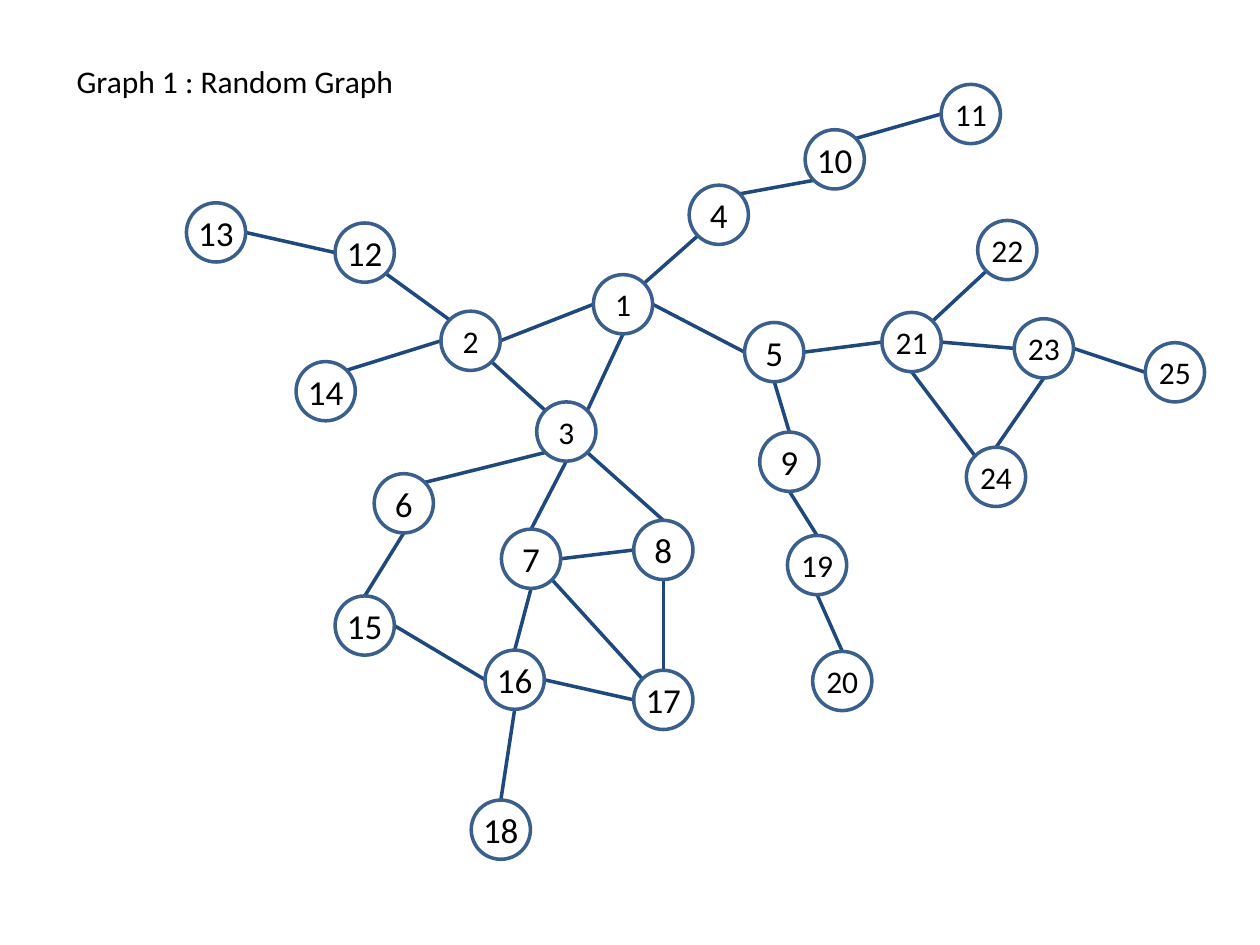
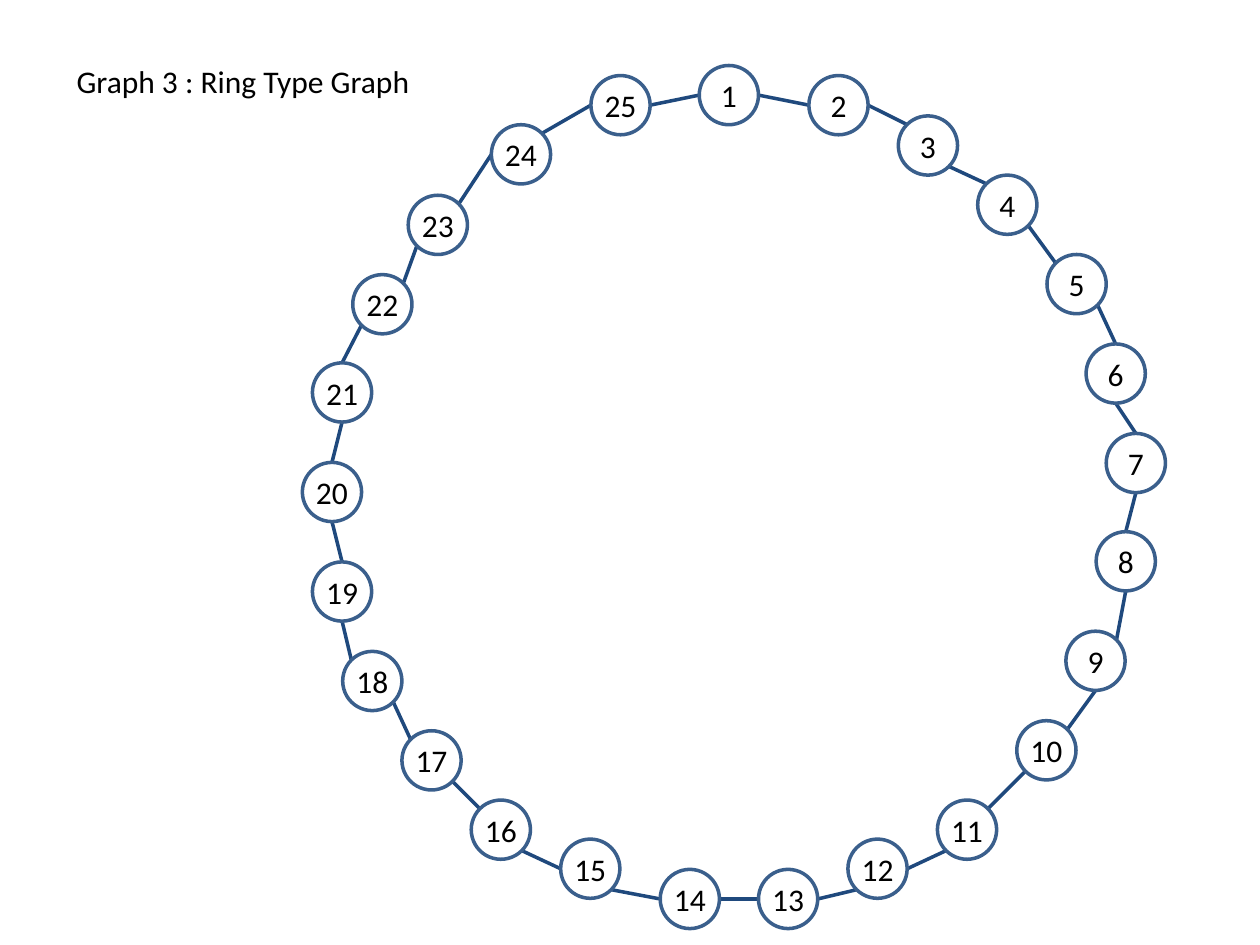
"""Build two slides of numbered node-and-edge graphs."""
import math

import lxml.etree
import pptx
import pptx.dml.color
import pptx.enum.shapes
import pptx.enum.text
import pptx.oxml.ns
import pptx.util

Inches, Pt = pptx.util.Inches, pptx.util.Pt
COLORS = {"text": "000000", "node": "3A5F8C", "edge": "1F497D"}
FONT = "Calibri"
NODE = 0.47
LINE_WIDTH = 2
DIRECTIONS = ("E", "SE", "S", "SW", "W", "NW", "N", "NE")

RANDOM_NODES = [
    (3.23, 1.51), (2.02, 1.8), (2.78, 2.52), (3.99, 0.8), (4.43, 1.89),
    (1.49, 3.09), (2.5, 3.53), (3.55, 3.46), (4.55, 2.76), (4.91, 0.36),
    (5.99, 0), (1.18, 1.1), (0, 0.94), (0.87, 2.2), (1.18, 4.06),
    (2.37, 4.49), (3.55, 4.65), (2.26, 5.68), (4.77, 3.58), (4.97, 4.5),
    (5.52, 1.81), (6.28, 1.08), (6.57, 1.86), (6.19, 2.88), (7.61, 2.05),
]
RANDOM_EDGES = [
    (2, "E", 1, "W"), (3, "NE", 1, "S"), (12, "SE", 2, "NW"),
    (12, "W", 13, "E"), (14, "NE", 2, "W"), (2, "SE", 3, "NW"),
    (6, "NE", 3, "SW"), (7, "N", 3, "S"), (8, "N", 3, "SE"),
    (15, "N", 6, "S"), (16, "N", 7, "S"), (17, "N", 8, "S"),
    (18, "N", 16, "S"), (8, "W", 7, "E"), (17, "W", 16, "E"),
    (17, "NW", 7, "SE"), (16, "W", 15, "E"), (9, "N", 5, "S"),
    (19, "N", 9, "S"), (20, "N", 19, "S"), (5, "W", 1, "E"),
    (10, "SW", 4, "NE"), (11, "W", 10, "NE"), (4, "SW", 1, "NE"),
    (21, "W", 5, "E"), (22, "SW", 21, "NE"), (24, "NW", 21, "S"),
    (23, "W", 21, "E"), (24, "N", 23, "S"), (23, "E", 25, "W"),
]
LARGE_LABELS = {*range(4, 11), *range(12, 19)}

RING_NODES = [
    (3.15, 0), (4.02, 0.08), (4.73, 0.4), (5.36, 0.87), (5.91, 1.5),
    (6.22, 2.21), (6.38, 2.92), (6.3, 3.7), (6.06, 4.49), (5.67, 5.2),
    (5.04, 5.83), (4.33, 6.14), (3.62, 6.38), (2.84, 6.38), (2.05, 6.14),
    (1.34, 5.83), (0.79, 5.28), (0.32, 4.65), (0.08, 3.94), (0, 3.15),
    (0.08, 2.36), (0.4, 1.66), (0.84, 1.03), (1.5, 0.47), (2.29, 0.08),
]
RING_SIDES = (
    "E-W E-NW SE-NW SE-NW SE-N S-N S-N S-NE S-NE SW-NE SW-E SW-E W-E "
    "W-SE W-SE NW-SE NW-SE NW-S N-S N-S N-SW NE-SW NE-W NE-W E-W"
).split()


def rgb(name):
    """Return a named colour of the palette."""
    return pptx.dml.color.RGBColor.from_string(COLORS[name])


def add_text(tf, text, size=18, align=None):
    """Write one formatted line into a text frame."""
    p = tf.paragraphs[0]
    p.alignment = align
    r = p.add_run()
    r.text = text
    r.font.name = FONT
    r.font.size = Pt(size)
    r.font.color.rgb = rgb("text")


def add_title(s, text, left, top, width, height):
    """Place the graph title in its box."""
    sp = s.shapes.add_textbox(Inches(left), Inches(top), Inches(width), Inches(height))
    sp.text_frame.word_wrap = True
    add_text(sp.text_frame, text)


def add_node(s, label, left, top, size):
    """Draw a numbered circle."""
    sp = s.shapes.add_shape(pptx.enum.shapes.MSO_SHAPE.OVAL, Inches(left),
                            Inches(top), Inches(NODE), Inches(NODE))
    sp.shadow.inherit = False
    sp.fill.background()
    sp.line.color.rgb = rgb("node")
    sp.line.width = Pt(LINE_WIDTH)
    tf = sp.text_frame
    tf.margin_left = tf.margin_right = tf.margin_top = tf.margin_bottom = 0
    tf.vertical_anchor = pptx.enum.text.MSO_ANCHOR.MIDDLE
    add_text(tf, str(label), size, pptx.enum.text.PP_ALIGN.CENTER)


def rim_point(node, side):
    """Return the point on a node's rim at a compass side."""
    angle = DIRECTIONS.index(side) * math.pi / 4
    radius = NODE / 2
    return (node[0] + radius * (1 + math.cos(angle)),
            node[1] + radius * (1 + math.sin(angle)))


def add_edge(s, start, end):
    """Draw a straight edge between two points."""
    line = s.shapes.add_connector(pptx.enum.shapes.MSO_CONNECTOR.STRAIGHT,
                                  *(Inches(v) for v in (*start, *end)))
    line.line.color.rgb = rgb("edge")
    line.line.width = Pt(LINE_WIDTH)
    sp_pr = line._element.find(pptx.oxml.ns.qn("p:spPr"))
    lxml.etree.SubElement(sp_pr, pptx.oxml.ns.qn("a:effectLst"))


def add_graph(s, left, top, nodes, edges, large=()):
    """Draw edges and numbered nodes from the box's top left corner."""
    places = [(left + x, top + y) for x, y in nodes]
    for a, side_a, b, side_b in edges:
        add_edge(s, rim_point(places[a - 1], side_a), rim_point(places[b - 1], side_b))
    for label, (x, y) in enumerate(places, 1):
        add_node(s, label, x, y, 20 if label in large else 18)


def ring_edges(sides):
    """Join each node to the next one, closing the ring."""
    edges = []
    for i, pair in enumerate(sides):
        leave, enter = pair.split("-")
        edges.append((i + 1, leave, (i + 1) % len(sides) + 1, enter))
    return edges


def add_graph_slide(prs, title, title_width, **graph):
    """Add a blank slide with a title and a graph."""
    s = prs.slides.add_slide(prs.slide_layouts[6])
    add_graph(s, **graph)
    add_title(s, title, 0.51, 0.44, title_width, 0.4)


def main():
    """Build and save the presentation."""
    prs = pptx.Presentation()
    prs.slide_width, prs.slide_height = Inches(10), Inches(7.5)
    add_graph_slide(prs, "Graph 1 : Random Graph", 2.93, left=1.48, top=0.67,
                    nodes=RANDOM_NODES, edges=RANDOM_EDGES, large=LARGE_LABELS)
    add_graph_slide(prs, "Graph 3 : Ring Type Graph", 3.34, left=2.4, top=0.52,
                    nodes=RING_NODES, edges=ring_edges(RING_SIDES))
    prs.save("out.pptx")


main()
